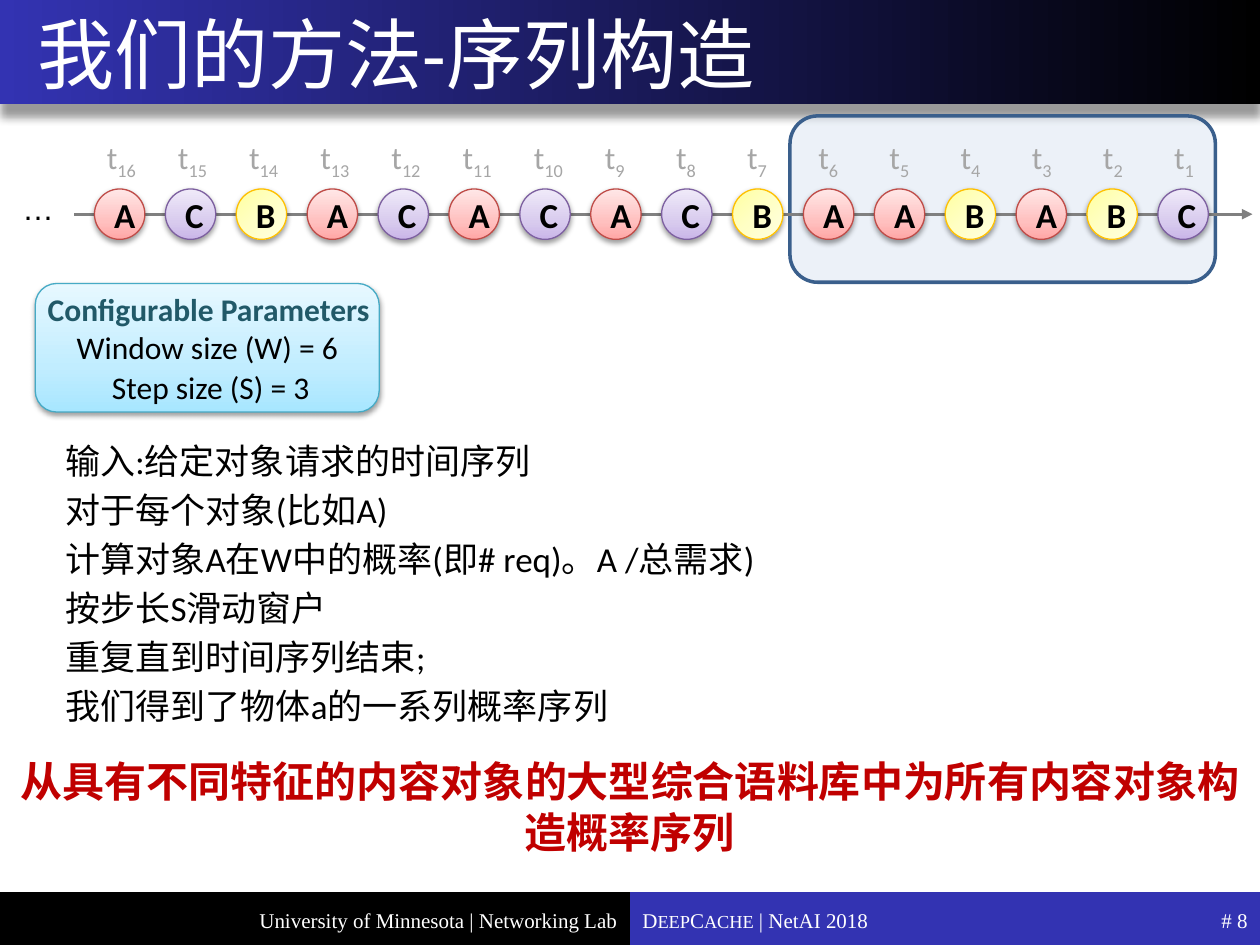
from lxml.etree import SubElement
from pptx import Presentation
from pptx.dml.color import RGBColor
from pptx.enum.shapes import MSO_CONNECTOR, MSO_SHAPE
from pptx.enum.text import MSO_ANCHOR, MSO_AUTO_SIZE, PP_ALIGN
from pptx.oxml.ns import qn
from pptx.util import Inches, Pt

COLORS = {
    "black": "000000", "white": "FFFFFF", "blue": "3333B2", "axis": "808080",
    "time": "A6A6A6", "window": "DCE6F2", "window_edge": "3A5F8C",
    "panel_edge": "46AAC5", "heading": "215968", "conclusion": "C00000",
}
HEADER_STOPS = [(0, "000000"), (100, "3333B2")]
PANEL_STOPS = [(0, "A7E6FF"), (35, "C1EDFF"), (100, "E7F8FF")]
OBJECTS = {
    "A": ([(0, "FFA6A5"), (35, "FFC0BF"), (100, "FFE7E7")], 270, "BF4C48"),
    "B": ([(0, "FFFFA0"), (50, "FFFFC5"), (100, "FFFFE3")], 45, "FFC000"),
    "C": ([(0, "C9B5E8"), (35, "D8CBEE"), (100, "F0EAF9")], 270, "7D60A0"),
}
REQUESTS = "ACBACACACBAABABC"
WINDOW_SIZE = 6
STEPS = [
    "输入:给定对象请求的时间序列",
    "对于每个对象(比如A)",
    "计算对象A在W中的概率(即# req)。A /总需求)",
    "按步长S滑动窗户",
    "重复直到时间序列结束;",
    "我们得到了物体a的一系列概率序列",
]
COLUMNS, ROWS = 100, 75
CELL = Inches(0.1)


def grid(*cells):
    """Turn grid columns or rows into slide lengths."""
    return [round(cell * CELL) for cell in cells]


def rgb(color):
    """Return the colour for a hex string."""
    return RGBColor.from_string(color)


def style_run(run, size, color, font="Calibri", bold=False):
    """Set the font of one run."""
    run.font.size, run.font.name, run.font.bold = Pt(size), font, bold
    run.font.color.rgb = rgb(color)


def write(shape, content, size, color, font="Calibri", bold=False,
          align=PP_ALIGN.LEFT, anchor=MSO_ANCHOR.TOP, wrap=True):
    """Fill a shape with evenly styled text and return its frame."""
    frame = shape.text_frame
    frame.word_wrap, frame.vertical_anchor = wrap, anchor
    frame.text = content
    for paragraph in frame.paragraphs:
        paragraph.alignment = align
        for run in paragraph.runs:
            style_run(run, size, color, font, bold)
    if not wrap:
        frame.auto_size = MSO_AUTO_SIZE.SHAPE_TO_FIT_TEXT
    return frame


def add_text(slide, box, content, size, color, **options):
    """Add a text box on the grid and return its frame."""
    return write(slide.shapes.add_textbox(*grid(*box)), content, size, color, **options)


def add_panel(slide, kind, box, fill=None, edge=None, weight=0.75):
    """Add a flat preset shape on the grid."""
    panel = slide.shapes.add_shape(kind, *grid(*box))
    panel.shadow.inherit = False
    if fill:
        panel.fill.solid()
        panel.fill.fore_color.rgb = rgb(fill)
    if edge:
        panel.line.color.rgb, panel.line.width = rgb(edge), Pt(weight)
    else:
        panel.line.fill.background()
    return panel


def add_alpha(color_element, percent):
    """Give a colour element an opacity."""
    SubElement(color_element, qn("a:alpha"), val=str(percent * 1000))


def shade(panel, stops, angle):
    """Give a shape a linear gradient with a clockwise angle."""
    panel.fill.gradient()
    panel.fill.gradient_angle = 360 - angle
    stop_list = panel._element.spPr.find(".//" + qn("a:gsLst"))
    for old_stop in list(stop_list):
        stop_list.remove(old_stop)
    for position, color in stops:
        stop = SubElement(stop_list, qn("a:gs"), pos=str(position * 1000))
        SubElement(stop, qn("a:srgbClr"), val=color)


def drop_shadow(panel, blur=3.1, distance=1.6, opacity=38):
    """Give a shape a shadow that falls straight down."""
    effects = panel._element.spPr.find(qn("a:effectLst"))
    shadow = SubElement(effects, qn("a:outerShdw"), blurRad=str(Pt(blur)),
                        dist=str(Pt(distance)), dir="5400000", rotWithShape="0")
    add_alpha(SubElement(shadow, qn("a:srgbClr"), val=COLORS["black"]), opacity)


def header(slide, box):
    """Draw the title band."""
    left, top, width, height = box
    band = add_panel(slide, MSO_SHAPE.RECTANGLE, box)
    shade(band, HEADER_STOPS, 180)
    drop_shadow(band, 5, 7, 40)
    title = add_text(slide, (left, top, width - 2.5, height), "我们的方法-序列构造", 44,
                     COLORS["white"], anchor=MSO_ANCHOR.MIDDLE)
    title.paragraphs[0]._p.get_or_add_pPr().set("marL", str(Inches(0.2)))


def footer(slide, box):
    """Draw the two footer halves with their texts."""
    left, top, width, height = box
    half, number_width = width / 2, 11.7
    style = dict(font="Times New Roman", anchor=MSO_ANCHOR.MIDDLE)
    white, line = COLORS["white"], (top + 0.2, height - 0.2)
    add_panel(slide, MSO_SHAPE.RECTANGLE, (left + half, top, half, height), COLORS["blue"])
    add_panel(slide, MSO_SHAPE.RECTANGLE, (left, top, half, height), COLORS["black"])
    text_width = half - number_width
    add_text(slide, (left + number_width, line[0], text_width, line[1]),
             "University of Minnesota | Networking Lab", 12, white,
             align=PP_ALIGN.RIGHT, **style)
    add_text(slide, (left + width - number_width, line[0], number_width, line[1]),
             "# 8", 12, white, align=PP_ALIGN.RIGHT, **style)
    venue = add_text(slide, (left + half, line[0], text_width, line[1]), "D", 12, white, **style)
    for part, size in [("EEP", 10.5), ("C", 12), ("ACHE", 10.5), (" | NetAI 2018", 12)]:
        run = venue.paragraphs[0].add_run()
        run.text = part
        style_run(run, size, white, "Times New Roman")


def timeline(slide, box):
    """Draw the request sequence, its times and the sliding window."""
    left, top, width, height = box
    diameter, first, last = 4, left + 6.7, left + 91.1
    pitch = (last - first) / (len(REQUESTS) - 1)
    axis_row = top + 7.8
    window_left = first + (len(REQUESTS) - WINDOW_SIZE) * pitch - 1.07
    window = add_panel(slide, MSO_SHAPE.ROUNDED_RECTANGLE,
                       (window_left, top, WINDOW_SIZE * pitch, height),
                       COLORS["window"], COLORS["window_edge"], 2)
    add_alpha(window._element.spPr.find(qn("a:solidFill"))[0], 52)

    axis = slide.shapes.add_connector(
        MSO_CONNECTOR.STRAIGHT, *grid(left + 5.1, axis_row, left + width, axis_row))
    axis.line.color.rgb, axis.line.width = rgb(COLORS["axis"]), Pt(1.5)
    SubElement(axis.line._get_or_add_ln(), qn("a:tailEnd"), type="triangle")
    SubElement(axis._element.spPr, qn("a:effectLst"))
    add_text(slide, (left, top + 5.3, 4.5, 4), "…", 18, COLORS["black"],
             font="Arial", wrap=False)

    for index, name in enumerate(REQUESTS):
        column, time = first + index * pitch, len(REQUESTS) - index
        stops, angle, edge = OBJECTS[name]
        request = add_panel(slide, MSO_SHAPE.OVAL,
                            (column, axis_row - diameter / 2, diameter, diameter), edge=edge)
        shade(request, stops, angle)
        drop_shadow(request)
        write(request, name, 20, COLORS["black"], bold=True,
              align=PP_ALIGN.CENTER, anchor=MSO_ANCHOR.MIDDLE)
        label = add_text(slide, (column + index * 0.02, top + 1.3, 4.6 if time > 9 else 3.7, 4),
                         "t", 18, COLORS["time"], wrap=False)
        subscript = label.paragraphs[0].add_run()
        subscript.text = str(time)
        style_run(subscript, 18, COLORS["time"])
        subscript.font._element.set("baseline", "-25000")


def parameters(slide, box):
    """Draw the panel of configurable parameters."""
    left, top, width, height = box
    panel = add_panel(slide, MSO_SHAPE.ROUNDED_RECTANGLE, box, edge=COLORS["panel_edge"])
    shade(panel, PANEL_STOPS, 270)
    drop_shadow(panel)
    settings = add_text(slide, (left, top, width + 0.5, 7.1),
                        "Configurable Parameters\nWindow size (W) = 6", 18,
                        COLORS["black"], wrap=False)
    heading, window_size = settings.paragraphs
    style_run(heading.runs[0], 18, COLORS["heading"], bold=True)
    window_size._p.get_or_add_pPr().set("marL", str(Inches(0.23)))
    add_text(slide, (left + 5.1, top + 6.2, 17.9, 4), "Step size (S) = 3", 18,
             COLORS["black"], wrap=False)


def steps(slide, box):
    """Write the steps of the method."""
    frame = add_text(slide, box, "\n".join(STEPS), 20, COLORS["black"])
    for paragraph in frame.paragraphs[1:]:
        paragraph.space_before = Pt(4)


def conclusion(slide, box):
    """Write the closing statement."""
    add_text(slide, box, "从具有不同特征的内容对象的大型综合语料库中为所有内容对象构造概率序列",
             24, COLORS["conclusion"], bold=True, align=PP_ALIGN.CENTER)


def main():
    """Build the slide and save it."""
    deck = Presentation()
    deck.slide_width, deck.slide_height = grid(COLUMNS, ROWS)
    slide = deck.slides.add_slide(deck.slide_layouts[6])
    header(slide, (0, 0, COLUMNS, 8.3))
    footer(slide, (0, 70.8, COLUMNS, 4.2))
    timeline(slide, (0.8, 9.2, 98.6, 13.2))
    parameters(slide, (2.8, 22.5, 27.3, 10.2))
    steps(slide, (4.2, 34.4, 95.2, 24))
    conclusion(slide, (0, 59.5, COLUMNS, 9.1))
    deck.save("out.pptx")


if __name__ == "__main__":
    main()
